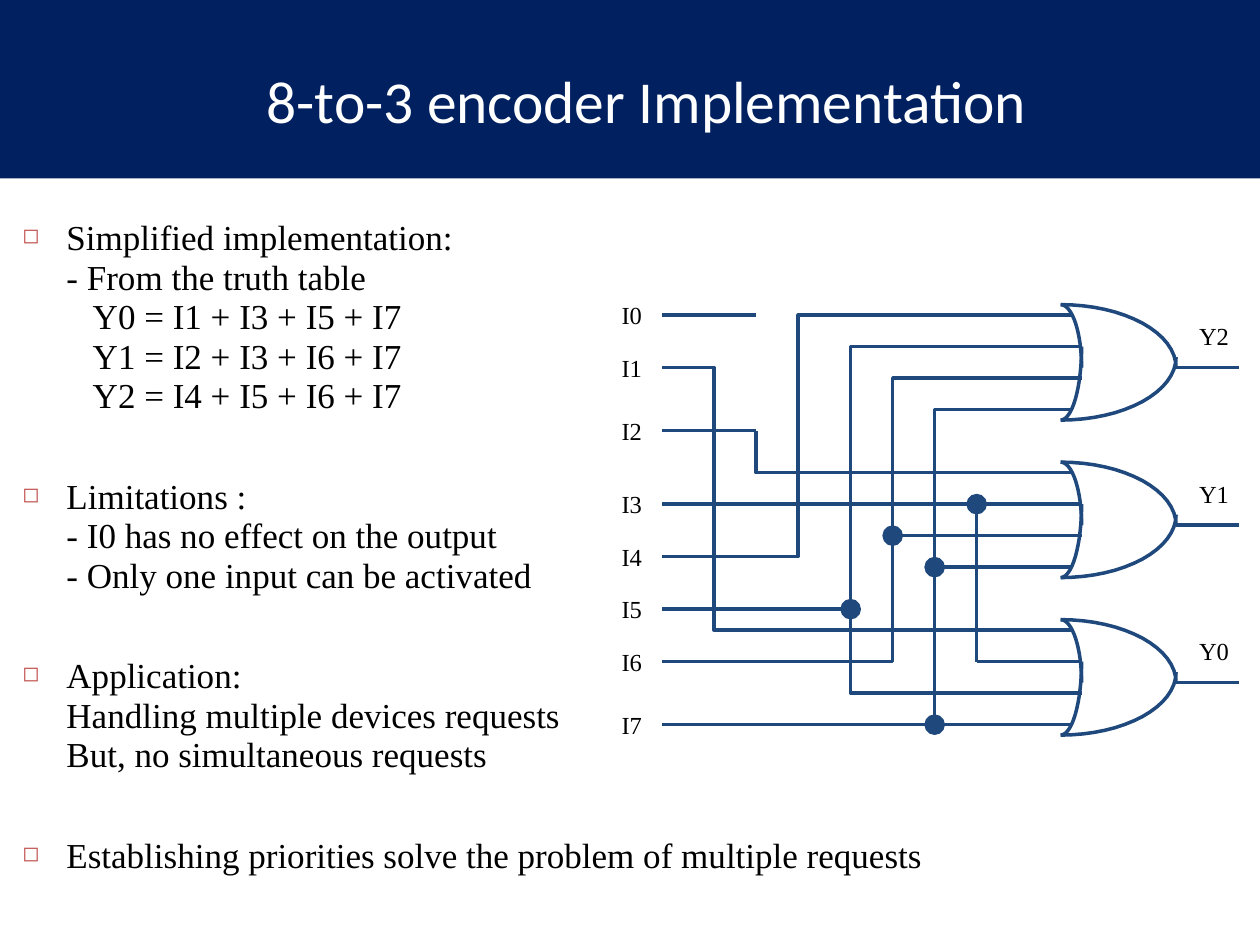
from math import cos, pi, sin

from lxml.etree import SubElement
from pptx import Presentation
from pptx.dml.color import RGBColor
from pptx.enum.shapes import MSO_CONNECTOR as Connector, MSO_SHAPE as Shape
from pptx.enum.text import MSO_ANCHOR as Anchor, PP_ALIGN as Align
from pptx.oxml.ns import qn
from pptx.util import Cm, Pt

NAVY, WIRE, WHITE, BLACK, BULLET = "002060", "1F497D", "FFFFFF", "000000", "C0504D"
SERIF = "Times New Roman"
GRID = 2.54 / 12

INPUT_ROWS = [2, 7, 13, 20, 25, 30, 35, 41]
STUB_ENDS = [14, 9, 14, 35, 14, 14, 14, 35]
GATE_FEEDS = {
    "Y2": [35, 35, 35, 35],
    "Y1": [35, 35, 27, 31],
    "Y0": [35, 35, 35, 35],
}
TRACES = [
    [(35, 11), (31, 11), (31, 41)],
    [(35, 8), (27, 8), (27, 35), (13, 35)],
    [(35, 5), (23, 5), (23, 30), (13, 30)],
    [(23, 30), (23, 38), (35, 38)],
    [(35, 2), (18, 2), (18, 25), (14, 25)],
    [(35, 17), (14, 17), (14, 13)],
    [(35, 32), (10, 32), (10, 7), (8, 7)],
]
JUNCTIONS = [(35, 20), (31, 26), (27, 23), (23, 30), (31, 41)]

NOTES = [
    (True, ["Simplified implementation:", "- From the truth table"]),
    (False, ["Y0 = I1 + I3 + I5 + I7", "Y1 = I2 + I3 + I6 + I7",
             "Y2 = I4 + I5 + I6 + I7"]),
    (True, ["Limitations :", "- I0 has no effect on the output",
            "- Only one input can be activated"]),
    (True, ["Application:", "Handling multiple devices requests",
            "But, no simultaneous requests"]),
    (True, ["Establishing priorities solve the problem of multiple requests"]),
]


def rgb(value):
    """Turn a hex string into a colour."""
    return RGBColor.from_string(value)


def add_run(paragraph, text, size, font, color):
    """Add one formatted run to a paragraph."""
    run = paragraph.add_run()
    run.text = text
    run.font.size = Pt(size)
    run.font.name = font
    run.font.color.rgb = rgb(color)


def add_frame(slide, left, top, width, height):
    """Add a wrapping text box and return its text frame."""
    frame = slide.shapes.add_textbox(Cm(left), Cm(top), Cm(width), Cm(height)).text_frame
    frame.word_wrap = True
    return frame


def add_solid(slide, kind, left, top, width, height, color):
    """Add a filled preset shape without a shadow or line."""
    solid = slide.shapes.add_shape(kind, Cm(left), Cm(top), Cm(width), Cm(height))
    solid.shadow.inherit = False
    solid.fill.solid()
    solid.fill.fore_color.rgb = rgb(color)
    solid.line.fill.background()
    return solid


def draw_header(slide, left, top, width, height):
    """Draw the title band with its centred heading."""
    add_solid(slide, Shape.RECTANGLE, left, top, width, height, NAVY)
    frame = add_frame(slide, left + 1.7, top + 0.64, width - 2.74, 2.74)
    frame.vertical_anchor = Anchor.MIDDLE
    heading = frame.paragraphs[0]
    heading.alignment = Align.CENTER
    add_run(heading, "8-to-3 encoder Implementation", 34, "Calibri", WHITE)


def set_bullet(properties):
    """Give paragraph properties a small square bullet."""
    color = SubElement(properties, qn("a:buClr"))
    SubElement(color, qn("a:srgbClr")).set("val", BULLET)
    SubElement(properties, qn("a:buSzPct")).set("val", "60000")
    SubElement(properties, qn("a:buChar")).set("char", "◻")


def draw_notes(slide, left, top, width, height):
    """Write the bulleted notes and the output equations."""
    frame = add_frame(slide, left, top, width, height)
    for index, (bulleted, lines) in enumerate(NOTES):
        note = frame.paragraphs[0] if index == 0 else frame.add_paragraph()
        note.line_spacing = 0.94
        note.space_before = Pt(35 if bulleted and index else 0)
        properties = note._p.get_or_add_pPr()
        properties.set("marL", str(Cm(0.89 if bulleted else 1.42)))
        properties.set("indent", str(Cm(-0.89 if bulleted else 0)))
        if bulleted:
            set_bullet(properties)
        for row, line in enumerate(lines):
            if row:
                note.add_line_break()
            add_run(note, line, 20, SERIF, BLACK)


class Circuit:
    """Encoder diagram laid out on a grid from its top left corner."""

    def __init__(self, slide, left, top):
        """Keep the slide and the corner of the diagram."""
        self.slide, self.left, self.top = slide, left, top

    def place(self, x, y):
        """Turn grid units into slide centimetres."""
        return self.left + x * GRID, self.top + y * GRID

    def wire(self, x1, y1, x2, y2):
        """Draw one straight wire."""
        start, end = self.place(x1, y1), self.place(x2, y2)
        wire = self.slide.shapes.add_connector(
            Connector.STRAIGHT, *map(Cm, start + end))
        wire.line.color.rgb = rgb(WIRE)
        wire.line.width = Pt(2)
        SubElement(wire._element.spPr, qn("a:effectLst"))

    def trace(self, points):
        """Draw an open outline through grid points."""
        corners = [tuple(map(Cm, self.place(*point))) for point in points]
        builder = self.slide.shapes.build_freeform(*corners[0], scale=1.0)
        builder.add_line_segments(corners[1:], close=False)
        trace = builder.convert_to_shape()
        trace.shadow.inherit = False
        trace.fill.background()
        trace.line.color.rgb = rgb(WIRE)
        trace.line.width = Pt(2)

    def quarter(self, x, y, reach, rise, steps=16):
        """Draw a quarter ellipse around a centre; negative rise goes up."""
        angles = [pi / 2 * step / steps for step in range(steps + 1)]
        self.trace([(x + reach * sin(a), y + rise * cos(a)) for a in angles])

    def label(self, text, x, y):
        """Write a signal name."""
        frame = add_frame(self.slide, *self.place(x, y), 7 * GRID, 4 * GRID)
        add_run(frame.paragraphs[0], text, 14, SERIF, BLACK)

    def gate(self, name, feeds, top):
        """Draw an OR gate with its four inputs and its output."""
        for reach, lower_rise in ((11, 6), (2, 7)):
            self.quarter(43, top + 6, reach, -6)
            self.quarter(43, top + 11 - lower_rise, reach, lower_rise)
        for row, (start, end) in enumerate(zip(feeds, (44, 45, 45, 44))):
            self.wire(end, top + 1 + 3 * row, start, top + 1 + 3 * row)
        self.wire(60, top + 6, 54, top + 6)
        self.label(name, 55, top + 1)

    def junction(self, x, y):
        """Draw a connection dot."""
        left, top = self.place(x - 0.9, y - 0.9)
        dot = add_solid(self.slide, Shape.OVAL, left, top, 1.8 * GRID, 1.8 * GRID, WIRE)
        dot.line.color.rgb = rgb(WIRE)
        dot.line.width = Pt(1)


def draw_circuit(slide, left, top):
    """Draw the whole encoder from its inputs to its gates."""
    circuit = Circuit(slide, left, top)
    for index, (name, feeds) in enumerate(GATE_FEEDS.items()):
        circuit.gate(name, feeds, 1 + 15 * index)
    for index, (row, end) in enumerate(zip(INPUT_ROWS, STUB_ENDS)):
        circuit.wire(end, row, 5, row)
        circuit.label(f"I{index}", 0, row - 2)
    circuit.wire(35, 20, 35, 35)
    for points in TRACES:
        circuit.trace(points)
    for point in JUNCTIONS:
        circuit.junction(*point)


def main():
    """Build and save the slide."""
    deck = Presentation()
    deck.slide_width, deck.slide_height = Cm(25.4), Cm(19.05)
    slide = deck.slides.add_slide(deck.slide_layouts[6])
    draw_header(slide, 0, 0, 25.4, 3.6)
    draw_notes(slide, 0.2, 4.29, 21.59, 14.27)
    draw_circuit(slide, 12.28, 5.93)
    deck.save("out.pptx")


if __name__ == "__main__":
    main()
